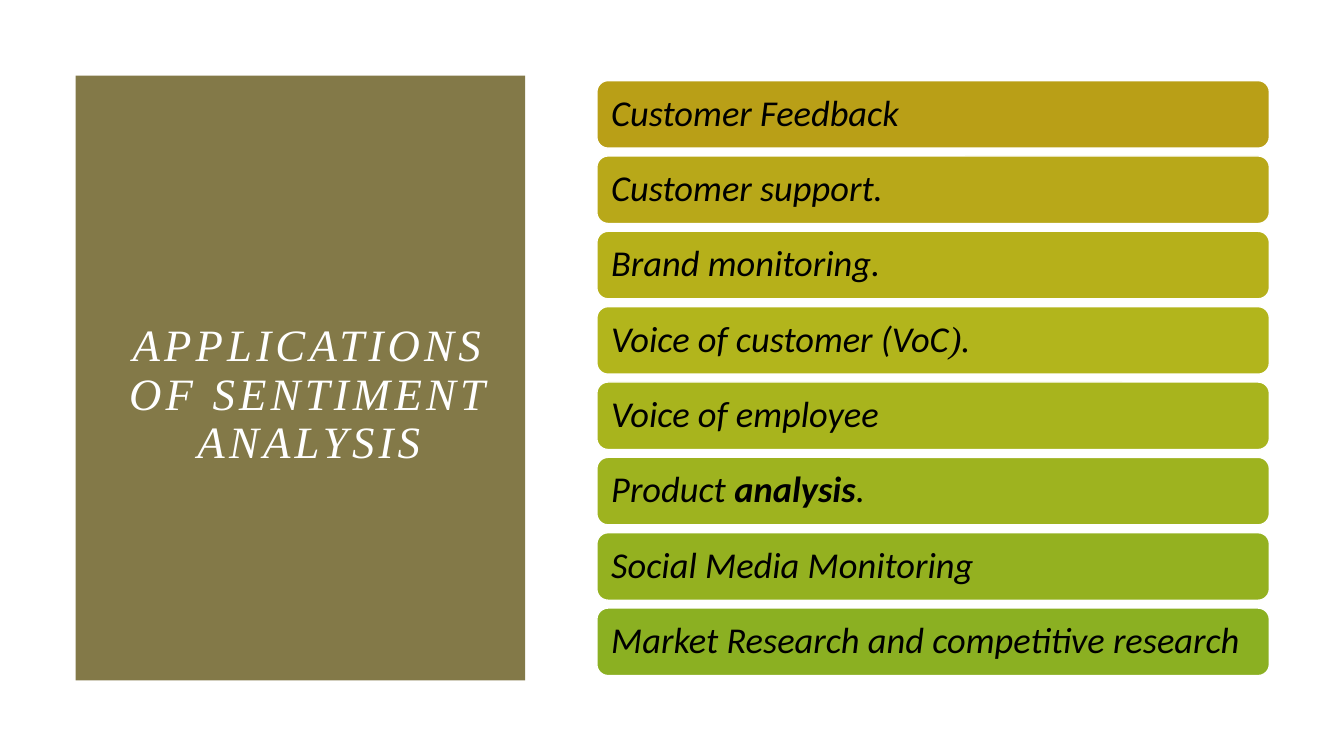
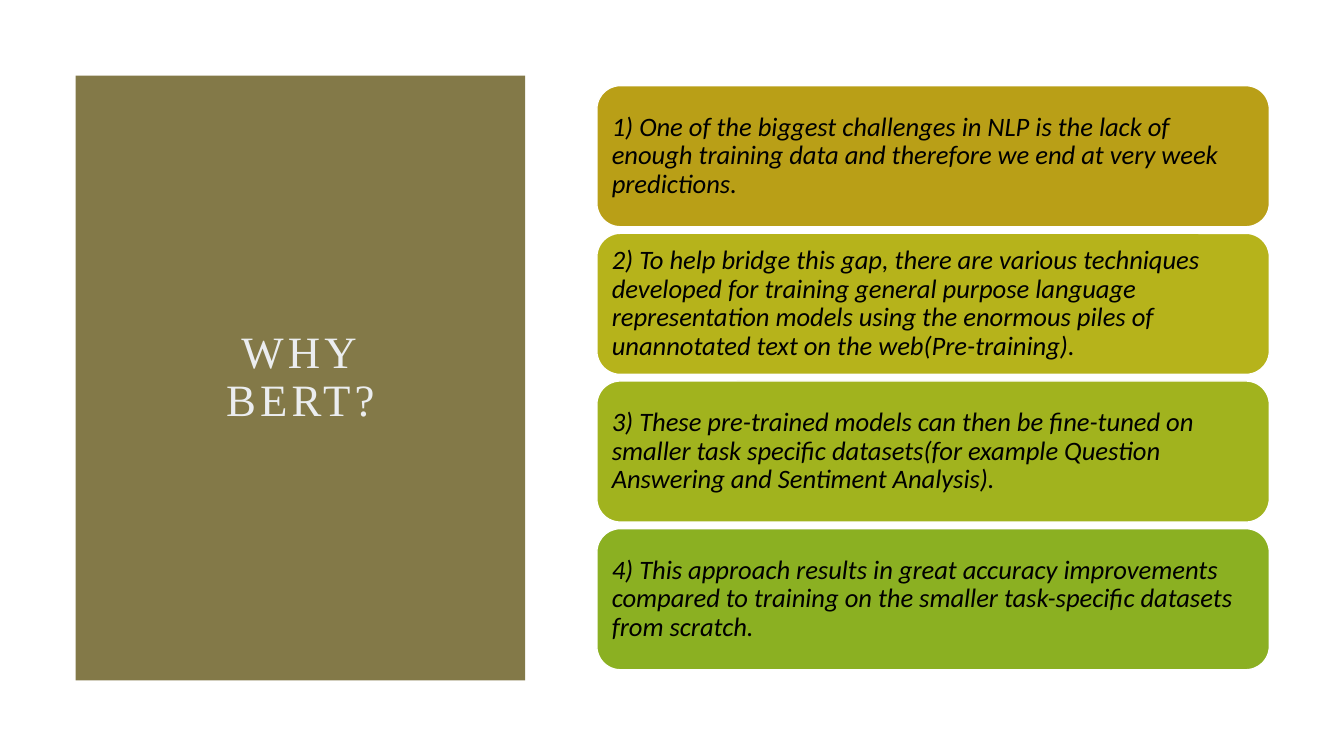
from pptx import Presentation
from pptx.dml.color import RGBColor
from pptx.enum import shapes, text as text_enum
from pptx.util import Inches, Pt

# Shared look
OLIVE = RGBColor(0x83, 0x79, 0x48)
WHITE = RGBColor(0xFF, 0xFF, 0xFF)
PALE_GREY = RGBColor(0xEB, 0xED, 0xEF)
BLACK = RGBColor(0x00, 0x00, 0x00)
TITLE_FONT = "Times New Roman"
BODY_FONT = "Calibri"
CARD_LEFT, CARD_WIDTH = 5.92, 6.67

# Slide content: a card is a list of (text, format changes) runs
SLIDES = [
    {
        "title": "APPLICATIONS OF SENTIMENT ANALYSIS",
        "title_box": (0.83, 2.2, 4.47, 3.45),
        "title_color": WHITE,
        "title_italic": True,
        "top": 0.8, "pitch": 0.7475, "height": 0.67, "inset": 0.11, "size": 26,
        "colors": ["B99F17", "B8A819", "B6B01A", "B2B51C",
                   "A8B41D", "9EB31F", "94B120", "8BB022"],
        "cards": [
            [("Customer Feedback", {})],
            [("Customer support.", {})],
            [("Brand monitoring.", {})],
            [("Voice of customer (VoC", {}), (").", {"font": TITLE_FONT})],
            [("Voice of employee", {})],
            [("Product ", {}), ("analysis", {"bold": True}), (".", {})],
            [("Social Media Monitoring", {})],
            [("Market Research and competitive research", {})],
        ],
    },
    {
        "title": "WHY BERT?",
        "title_box": (1.5, 1.5, 2.96, 4.5),
        "title_color": PALE_GREY,
        "title_italic": False,
        "top": 0.85, "pitch": 1.465, "height": 1.4, "inset": 0.08, "size": 19,
        "colors": ["B99F17", "B6B31B", "A1B31E", "8BB022"],
        "cards": [
            [("1) One of the biggest challenges in NLP is the lack of enough "
              "training data and therefore we end at very week predictions.", {})],
            [("2) To help bridge this gap, there are various techniques developed "
              "for training general purpose language representation models using "
              "the enormous piles of unannotated text on the web(Pre-training).", {})],
            [("3) These pre-trained models can then be fine-tuned on smaller task "
              "specific datasets(for example Question Answering and Sentiment "
              "Analysis).", {})],
            [("4) This approach results in great accuracy improvements compared to "
              "training on the smaller task-specific datasets from scratch.", {})],
        ],
    },
]


def add_shape(slide, kind, box, fill):
    shape = slide.shapes.add_shape(kind, *[Inches(length) for length in box])
    shape.shadow.inherit = False
    shape.fill.solid()
    shape.fill.fore_color.rgb = fill
    shape.line.fill.background()
    return shape


def write_text(shape, runs, *, font, size, color, align, inset, italic=False, spacing=0):
    frame = shape.text_frame
    frame.word_wrap = True
    frame.vertical_anchor = text_enum.MSO_ANCHOR.MIDDLE
    frame.margin_left = frame.margin_right = Inches(inset)
    frame.margin_top = frame.margin_bottom = Inches(inset)
    paragraph = frame.paragraphs[0]
    paragraph.alignment = align
    paragraph.line_spacing = 0.9
    for words, changes in runs:
        run = paragraph.add_run()
        run.text = words
        run.font.name = changes.get("font", font)
        run.font.size = Pt(size)
        run.font.bold = changes.get("bold", False)
        run.font.italic = italic
        run.font.color.rgb = color
        if spacing:
            run._r.get_or_add_rPr().set("spc", str(spacing * 100))


presentation = Presentation()
presentation.slide_width = Inches(13.33)
presentation.slide_height = Inches(7.5)

for content in SLIDES:
    slide = presentation.slides.add_slide(presentation.slide_layouts[6])

    # Title panel
    add_shape(slide, shapes.MSO_SHAPE.RECTANGLE, (0.75, 0.75, 4.46, 6), OLIVE)
    title = slide.shapes.add_textbox(*[Inches(length) for length in content["title_box"]])
    write_text(title, [(content["title"], {})], font=TITLE_FONT, size=32,
               color=content["title_color"], align=text_enum.PP_ALIGN.CENTER,
               inset=0.15, italic=content["title_italic"], spacing=3)

    # Column of cards
    for index, (runs, color) in enumerate(zip(content["cards"], content["colors"])):
        top = content["top"] + index * content["pitch"]
        card = add_shape(slide, shapes.MSO_SHAPE.ROUNDED_RECTANGLE,
                         (CARD_LEFT, top, CARD_WIDTH, content["height"]),
                         RGBColor.from_string(color))
        card.line.color.rgb = WHITE
        card.line.width = Pt(1)
        write_text(card, runs, font=BODY_FONT, size=content["size"], color=BLACK,
                   align=text_enum.PP_ALIGN.LEFT, inset=content["inset"], italic=True)

presentation.save("out.pptx")
